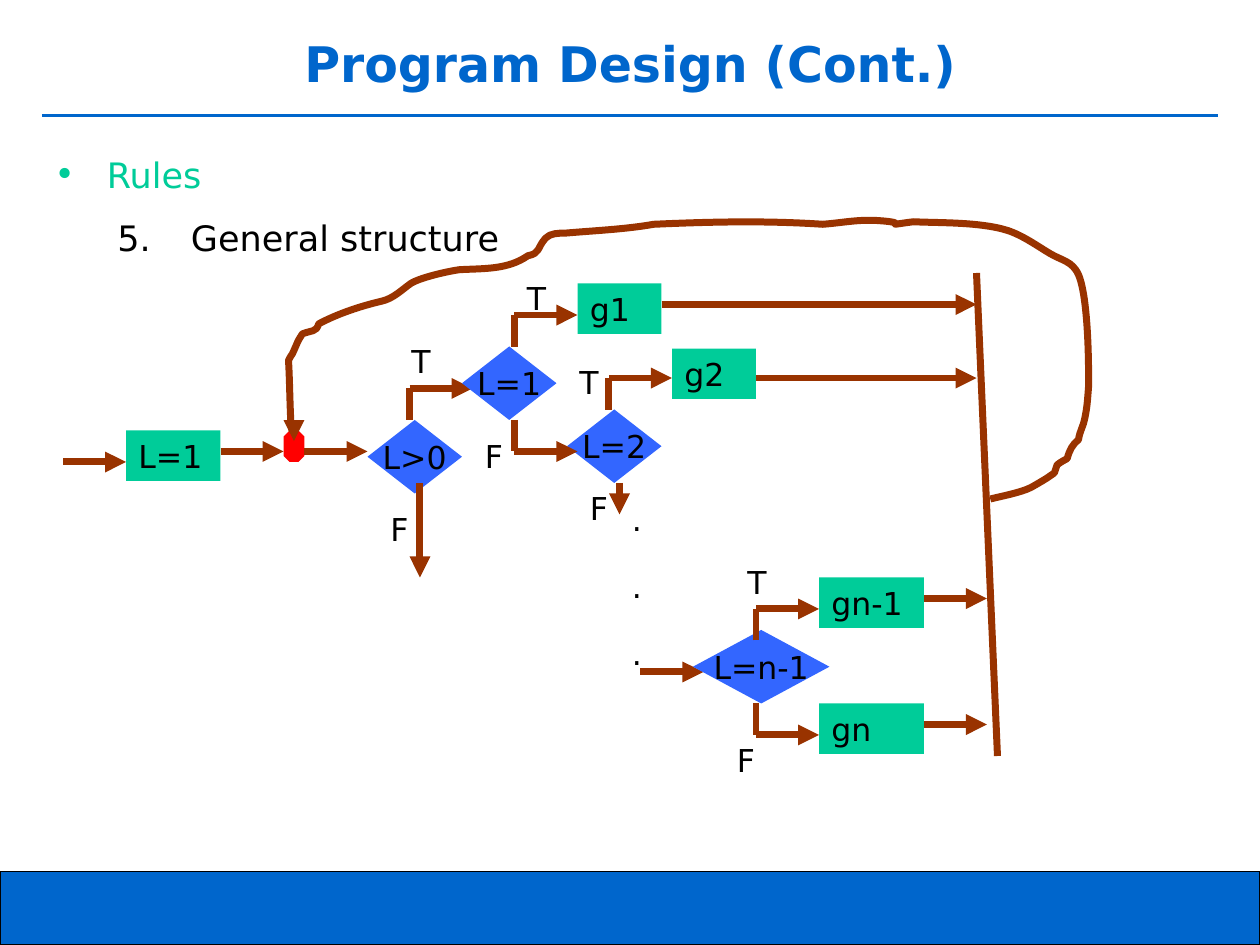
import dataclasses

import lxml.etree
import pptx
import pptx.dml.color
import pptx.enum.shapes
import pptx.enum.text
import pptx.oxml
import pptx.oxml.ns
import pptx.util

RGBColor = pptx.dml.color.RGBColor
Shape = pptx.enum.shapes.MSO_SHAPE
Anchor = pptx.enum.text.MSO_ANCHOR
Align = pptx.enum.text.PP_ALIGN
AutoSize = pptx.enum.text.MSO_AUTO_SIZE
Pt = pptx.util.Pt
qn = pptx.oxml.ns.qn

BLUE = RGBColor(0x00, 0x66, 0xCC)
GREEN = RGBColor(0x00, 0xCC, 0x99)
VIOLET = RGBColor(0x33, 0x66, 0xFF)
RED = RGBColor(0xFF, 0x00, 0x00)
BROWN = RGBColor(0x99, 0x33, 0x00)
BLACK = RGBColor(0x00, 0x00, 0x00)

FONT = "DejaVu Sans"
COLUMNS, ROWS = 120, 90
CELL = pptx.util.Inches(10) / COLUMNS
LINE_WIDTH = 4
BOX_ROWS = 4.8

BOX_FORMAT = {"word_wrap": True, "auto_size": AutoSize.SHAPE_TO_FIT_TEXT, "vertical_anchor": Anchor.TOP}
DIAMOND_FORMAT = {"word_wrap": False, "vertical_anchor": Anchor.MIDDLE}
BODY_FORMAT = {"word_wrap": True, "vertical_anchor": Anchor.TOP}
TITLE_FORMAT = {"word_wrap": True, "vertical_anchor": Anchor.MIDDLE}


@dataclasses.dataclass(frozen=True)
class Area:
    """A rectangle in grid columns and rows."""
    column: float
    row: float
    columns: float
    rows: float

    def lengths(self) -> list[int]:
        return [cells(value) for value in dataclasses.astuple(self)]


@dataclasses.dataclass(frozen=True)
class Node:
    text: str
    area: Area
    kind: Shape = Shape.RECTANGLE
    color: RGBColor = GREEN


@dataclasses.dataclass(frozen=True)
class Link:
    start: tuple[float, float]
    end: tuple[float, float]
    arrow: bool = True


@dataclasses.dataclass(frozen=True)
class Branch:
    """An elbow that leaves a decision vertically and ends in an arrow to the right."""
    column: float
    row: float
    turn_row: float
    end_column: float

    def links(self) -> list[Link]:
        corner = (self.column, self.turn_row)
        return [Link((self.column, self.row), corner, False), Link(corner, (self.end_column, self.turn_row))]


NODES = [
    Node("L=1", Area(12, 41, 9, BOX_ROWS)),
    Node("g1", Area(55, 27, 8, BOX_ROWS)),
    Node("g2", Area(64, 33.2, 8, BOX_ROWS)),
    Node("gn-1", Area(78, 55, 10, BOX_ROWS)),
    Node("gn", Area(78, 67, 10, BOX_ROWS)),
    Node("", Area(27, 41, 2, 3), Shape.OCTAGON, RED),
    Node("L>0", Area(35, 40, 9, 7), Shape.DIAMOND, VIOLET),
    Node("L=1", Area(44, 33, 9, 7), Shape.DIAMOND, VIOLET),
    Node("L=2", Area(54, 39, 9, 7), Shape.DIAMOND, VIOLET),
    Node("L=n-1", Area(66, 60, 13, 7), Shape.DIAMOND, VIOLET),
]
LINKS_BEHIND = [Link((61, 64), (67, 64)), *Branch(39, 40, 37, 45).links()]
BRANCHES = [
    Branch(49, 33, 30, 55), Branch(49, 40, 43, 55), Branch(58, 39, 36, 64),
    Branch(72, 61, 58, 78), Branch(72, 67, 70, 78),
]
LINKS = [
    Link((6, 44), (12, 44)), Link((21, 43), (27, 43)), Link((29, 43), (35, 43)),
    Link((40, 46), (40, 55)), Link((59, 46), (59, 49)),
    Link((93, 26), (95, 72), False),
    Link((88, 57), (94, 57)), Link((88, 69), (94, 69)),
    Link((72, 36), (93, 36)), Link((63, 29), (93, 29)),
    Link((28, 40), (28, 42)),
]
LABELS = {
    "T": [(38, 32), (54, 34), (49, 26), (70, 53)],
    "F": [(36, 48), (45, 41), (55, 46), (69, 70)],
}
# Hundredths of an inch: the start, then two control points and an end point per curve.
LOOP_START = (786, 396)
LOOP_CURVES = [
    (794, 394, 810, 391, 818, 387), (820, 386, 832, 379, 833, 378),
    (835, 377, 837, 375, 837, 375), (838, 373, 838, 371, 839, 369),
    (841, 367, 847, 364, 847, 364), (849, 357, 851, 353, 856, 349),
    (857, 342, 860, 338, 861, 332), (863, 322, 863, 319, 864, 307),
    (864, 306, 865, 239, 856, 218), (851, 207, 843, 207, 833, 201),
    (823, 195, 812, 187, 800, 183), (778, 176, 745, 177, 725, 176),
    (694, 180, 728, 177, 696, 175), (681, 174, 667, 177, 653, 178),
    (608, 175, 564, 176, 519, 178), (496, 182, 472, 183, 449, 185),
    (443, 185, 437, 185, 433, 189), (426, 197, 429, 201, 419, 203),
    (403, 214, 385, 213, 365, 214), (357, 215, 334, 220, 326, 225),
    (319, 230, 312, 237, 303, 239), (286, 243, 268, 249, 253, 257),
    (251, 264, 247, 262, 240, 265), (235, 273, 238, 268, 232, 281),
    (231, 282, 229, 286, 229, 286), (230, 303, 230, 320, 231, 337),
    (231, 339, 232, 342, 232, 342),
]


def cells(count: float) -> int:
    return round(count * CELL)


def apply(target, values: dict) -> None:
    for name, value in values.items():
        setattr(target, name, value)


def write(frame, lines: list[str], frame_format: dict, size: float = 18, color: RGBColor = BLACK,
          bold: bool = False, align: Align = Align.LEFT, gaps: tuple[float, float] = (11.2, 5.6)) -> list:
    apply(frame, frame_format)
    paras = []
    for index, line in enumerate(lines):
        para = frame.paragraphs[0] if index == 0 else frame.add_paragraph()
        span = para.add_run()
        span.text = line
        apply(span.font, {"name": FONT, "size": Pt(size), "bold": bold})
        span.font.color.rgb = color
        apply(para, {"alignment": align, "space_before": Pt(gaps[0] if index else 0), "space_after": Pt(gaps[1])})
        paras.append(para)
    return paras


def add_text(page, area: Area, lines: list[str], frame_format: dict, **style) -> list:
    return write(page.shapes.add_textbox(*area.lengths()).text_frame, lines, frame_format, **style)


def add_node(page, node: Node):
    shape = page.shapes.add_shape(node.kind, *node.area.lengths())
    shape.shadow.inherit = False
    shape.fill.solid()
    shape.fill.fore_color.rgb = node.color
    shape.line.fill.background()
    if node.text:
        diamond = node.kind == Shape.DIAMOND
        write(shape.text_frame, [node.text], DIAMOND_FORMAT if diamond else BOX_FORMAT,
              align=Align.CENTER if diamond else Align.LEFT, gaps=(0, 0) if diamond else (11.2, 5.6))
    return shape


def add_link(page, link: Link, color: RGBColor = BROWN, width: float = LINE_WIDTH) -> None:
    ends = [cells(value) for value in (*link.start, *link.end)]
    line = page.shapes.add_connector(pptx.enum.shapes.MSO_CONNECTOR.STRAIGHT, *ends)
    line.line.color.rgb = color
    line.line.width = Pt(width)
    if link.arrow:
        lxml.etree.SubElement(line.line._get_or_add_ln(), qn("a:tailEnd"), type="triangle")
    lxml.etree.SubElement(line._element.spPr, qn("a:effectLst"))


def add_loop(page) -> None:
    """Draw the control points as segments, then join each three into one Bezier curve."""
    builder = page.shapes.build_freeform(*LOOP_START, scale=pptx.util.Inches(0.01))
    points = [curve[index:index + 2] for curve in LOOP_CURVES for index in (0, 2, 4)]
    builder.add_line_segments(points, close=False)
    loop = builder.convert_to_shape()
    loop.shadow.inherit = False
    loop.fill.background()
    loop.line.color.rgb = BROWN
    loop.line.width = Pt(LINE_WIDTH)
    outline = next(loop._element.iter(qn("a:path")))
    segments = outline.findall(qn("a:lnTo"))
    for index in range(0, len(segments), 3):
        curve = lxml.etree.SubElement(outline, qn("a:cubicBezTo"))
        for segment in segments[index:index + 3]:
            curve.append(segment[0])
            outline.remove(segment)


def add_heading(page) -> None:
    footer = add_node(page, Node("", Area(0, 83, COLUMNS, 7), color=BLUE))
    footer.line.color.rgb = BLACK
    footer.line.width = Pt(0.75)
    add_link(page, Link((4, 11), (116, 11), False), BLUE, 2.25)
    add_text(page, Area(4, 2, 112, 8), ["Program Design (Cont.)"], TITLE_FORMAT,
             size=28, color=BLUE, bold=True, align=Align.CENTER, gaps=(0, 0))
    rules, structure = add_text(page, Area(4, 14, 112, 67), ["Rules", "5.\tGeneral structure"],
                                BODY_FORMAT, size=20, gaps=(6.2, 6.2))
    rules.runs[0].font.color.rgb = GREEN
    for para, margin, indent in ((rules, 5, -5), (structure, 13, -7)):
        properties = para._p.get_or_add_pPr()
        properties.set("marL", str(cells(margin)))
        properties.set("indent", str(cells(indent)))
    bullet_color = lxml.etree.SubElement(rules._p.pPr, qn("a:buClr"))
    lxml.etree.SubElement(bullet_color, qn("a:srgbClr"), val=str(GREEN))
    lxml.etree.SubElement(rules._p.pPr, qn("a:buFont"), typeface=FONT)
    lxml.etree.SubElement(rules._p.pPr, qn("a:buChar"), char="•")


def main() -> None:
    deck = pptx.Presentation()
    apply(deck, {"slide_width": cells(COLUMNS), "slide_height": cells(ROWS)})
    page = deck.slides.add_slide(deck.slide_layouts[6])
    add_heading(page)
    for link in LINKS_BEHIND:
        add_link(page, link)
    for node in NODES:
        add_node(page, node)
    for link in LINKS + [link for branch in BRANCHES for link in branch.links()]:
        add_link(page, link)
    for text, places in LABELS.items():
        for column, row in places:
            add_text(page, Area(column, row, 3, BOX_ROWS), [text], BOX_FORMAT)
    add_text(page, Area(59, 47, 5, 17.6), ["."] * 3, BOX_FORMAT)
    add_loop(page)
    deck.save("out.pptx")


if __name__ == "__main__":
    main()
